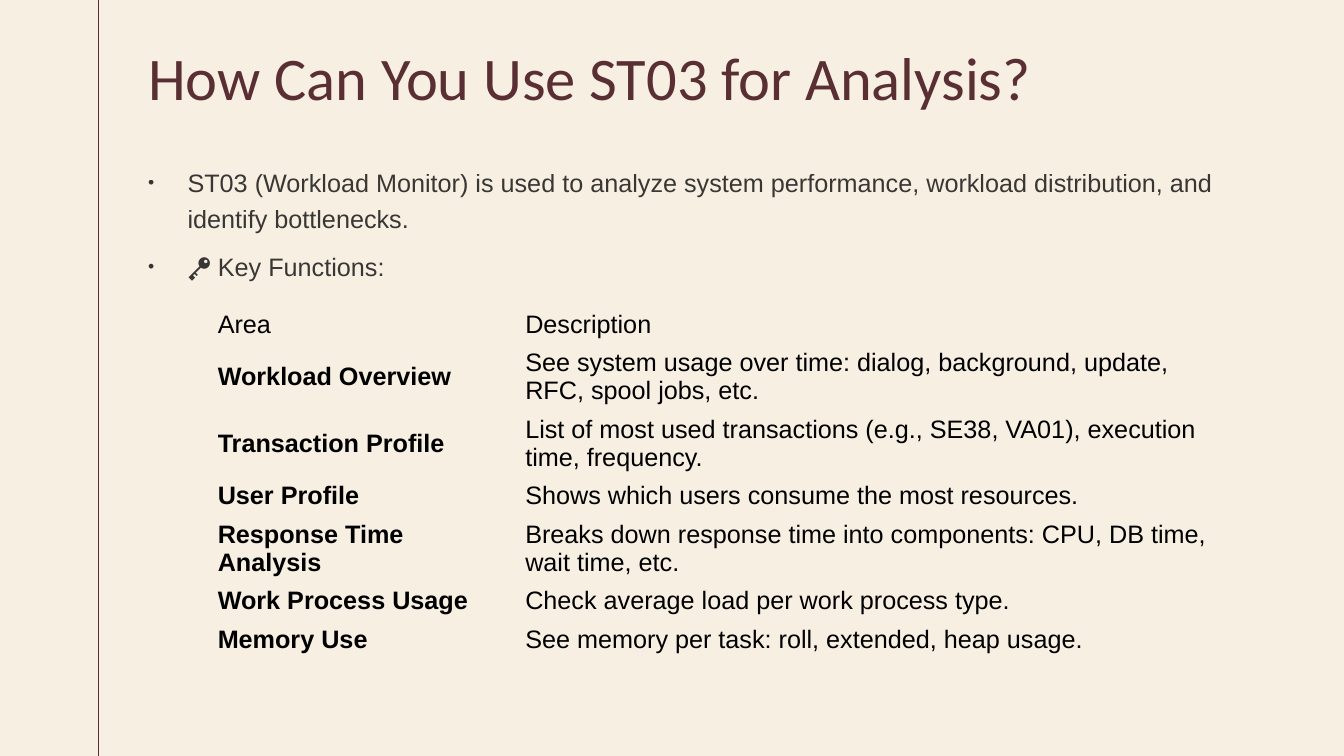
"""Build the slide on using ST03 for analysis."""
from lxml.etree import SubElement as Sub
from pptx import Presentation
from pptx.dml.color import RGBColor as RGB
from pptx.enum.shapes import MSO_CONNECTOR as Link
from pptx.enum.text import MSO_ANCHOR as Anchor, MSO_AUTO_SIZE as Fit, PP_ALIGN as Align
from pptx.oxml.ns import qn
from pptx.util import Inches, Pt

COLORS = {"back": "F8EFE3", "wine": "592F34", "ink": "000000"}
TITLE = "How Can You Use ST03 for Analysis?"
POINTS = [
    "ST03 (Workload Monitor) is used to analyze system performance, "
    "workload distribution, and identify bottlenecks.",
    "🔑 Key Functions:",
]
ROWS = [
    ("Area", "Description", 1),
    ("Workload Overview",
     "See system usage over time: dialog, background, update, RFC, spool jobs, etc.", 2),
    ("Transaction Profile",
     "List of most used transactions (e.g., SE38, VA01), execution time, frequency.", 2),
    ("User Profile", "Shows which users consume the most resources.", 1),
    ("Response Time Analysis",
     "Breaks down response time into components: CPU, DB time, wait time, etc.", 2),
    ("Work Process Usage", "Check average load per work process type.", 1),
    ("Memory Use", "See memory per task: roll, extended, heap usage.", 1),
]
WIDTHS = (3.05, 7.14)
LINE, PAD = 0.28, 0.1
PLAIN = "{2D5ABB26-0587-4C30-8999-92F81FD0307C}"


def tint(name):
    return RGB.from_string(COLORS[name])


def add_run(para, text, size=18, face="Arial", color="ink", bold=False):
    run = para.add_run()
    run.text = text
    font = run.font
    font.size, font.name, font.bold = Pt(size), face, bold
    font.color.rgb = tint(color)
    return run


def set_frame(frame, anchor):
    frame.word_wrap = True
    frame.auto_size = Fit.NONE
    frame.vertical_anchor = anchor
    frame.margin_left = frame.margin_right = 0
    frame.margin_top = frame.margin_bottom = 0


def add_rule(slide):
    rule = slide.shapes.add_connector(
        Link.STRAIGHT, Inches(0.98), 0, Inches(0.98), Inches(7.5))
    rule.line.color.rgb = tint("wine")
    rule.line.width = Pt(0.75)
    Sub(rule._element.spPr, qn("a:effectLst"))


def add_title(slide):
    title = slide.shapes.title
    title.left, title.top = Inches(1.47), Inches(0.36)
    title.width, title.height = Inches(11.38), Inches(0.9)
    set_frame(title.text_frame, Anchor.MIDDLE)
    para = title.text_frame.paragraphs[0]
    para.alignment, para.line_spacing = Align.LEFT, 0.85
    add_run(para, TITLE, 43.2, "Calibri", "wine")


def add_points(slide):
    box = slide.shapes.add_textbox(
        Inches(1.47), Inches(1.6), Inches(11.38), Inches(1.34))
    frame = box.text_frame
    set_frame(frame, Anchor.TOP)
    for i, text in enumerate(POINTS):
        para = frame.add_paragraph() if i else frame.paragraphs[0]
        para.line_spacing, para.space_before = 1.2, Pt(8)
        props = para._p.get_or_add_pPr()
        props.set("marL", str(Inches(0.39)))
        props.set("indent", str(-Inches(0.39)))
        Sub(props, qn("a:buSzPct"), val="70000")
        Sub(props, qn("a:buFont"), typeface="Arial")
        Sub(props, qn("a:buChar"), char="•")
        run = add_run(para, text)
        shade = run._r.find(".//" + qn("a:srgbClr"))
        Sub(shade, qn("a:alpha"), val="77000")


def add_areas(slide):
    tall = sum(LINE * lines + PAD for _, _, lines in ROWS)
    table = slide.shapes.add_table(
        len(ROWS), len(WIDTHS), Inches(2.06), Inches(3.03),
        Inches(sum(WIDTHS)), Inches(tall)).table
    table.first_row = table.horz_banding = False
    table._tbl.tblPr.find(qn("a:tableStyleId")).text = PLAIN
    for col, wide in zip(table.columns, WIDTHS):
        col.width = Inches(wide)
    for r, (area, about, lines) in enumerate(ROWS):
        table.rows[r].height = Inches(LINE * lines + PAD)
        for c, text in enumerate((area, about)):
            cell = table.cell(r, c)
            cell.fill.background()
            cell.vertical_anchor = Anchor.MIDDLE
            add_run(cell.text_frame.paragraphs[0], text, bold=r > 0 and c == 0)


def main():
    deck = Presentation()
    deck.slide_width, deck.slide_height = Inches(13.33), Inches(7.5)
    slide = deck.slides.add_slide(deck.slide_layouts[5])
    fill = slide.background.fill
    fill.solid()
    fill.fore_color.rgb = tint("back")
    add_rule(slide)
    add_title(slide)
    add_points(slide)
    add_areas(slide)
    deck.save("out.pptx")


if __name__ == "__main__":
    main()
